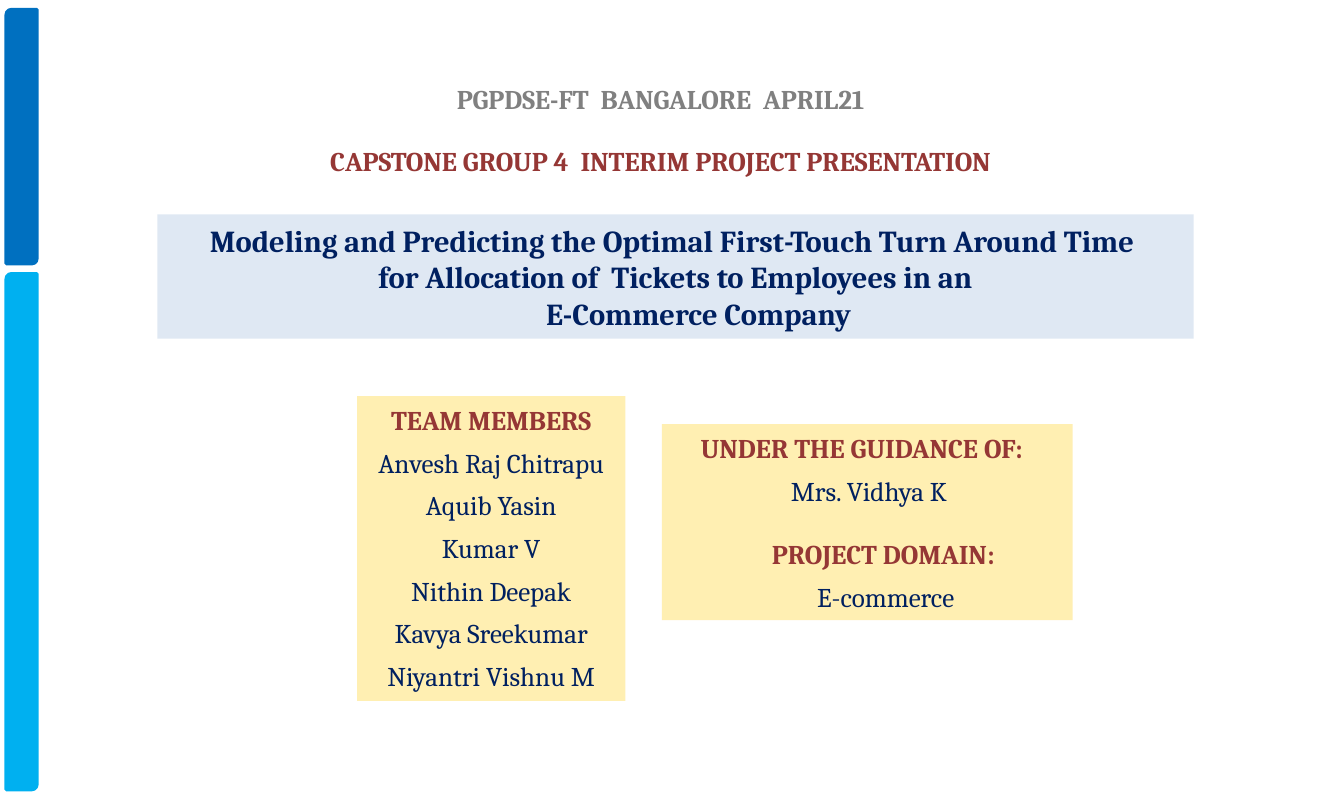
from pptx import Presentation
from pptx.dml.color import RGBColor
from pptx.enum.shapes import MSO_SHAPE
from pptx.enum.text import MSO_ANCHOR, MSO_AUTO_SIZE, PP_ALIGN
from pptx.oxml.xmlchemy import OxmlElement
from pptx.util import Cm, Pt

RECT, BAR = MSO_SHAPE.RECTANGLE, MSO_SHAPE.ROUND_2_DIAG_RECTANGLE
MIDDLE, BOTTOM, TOP = MSO_ANCHOR.MIDDLE, MSO_ANCHOR.BOTTOM, MSO_ANCHOR.TOP
FIXED, CENTER = MSO_AUTO_SIZE.NONE, PP_ALIGN.CENTER

HUES = {"blue": "0070C0", "sky": "00B0F0", "grey": "808080", "red": "953735",
        "navy": "002060", "pale": "B9CDE5", "gold": "FFCC00"}
HEAD = {"size": Pt(16), "bold": True, "name": "Cambria"}
NAME = HEAD | {"bold": False}
THEME = HEAD | {"size": Pt(18)}
WIDE = {"margin_left": Cm(0.3), "margin_right": Cm(0.3),
        "margin_top": Cm(0.15), "margin_bottom": Cm(0.15)}
SLIM = {"margin_left": Cm(0.25), "margin_right": Cm(0.25),
        "margin_top": Cm(0.13), "margin_bottom": Cm(0.13)}

TEAM = ["Anvesh Raj Chitrapu", "Aquib Yasin", "Kumar V", "Nithin Deepak",
        "Kavya Sreekumar", "Niyantri Vishnu M"]


def hue(key):
    """Return the named colour."""
    return RGBColor.from_string(HUES[key])


def assign(item, values):
    """Set each value on the item."""
    for key, value in values.items():
        setattr(item, key, value)


def block(slide, kind, box, key, alpha=None):
    """Add a filled shape, see-through if alpha is given."""
    shape = slide.shapes.add_shape(kind, *map(Cm, box))
    shape.shadow.inherit = False
    shape.fill.solid()
    shape.fill.fore_color.rgb = hue(key)
    if alpha is None:
        shape.line.color.rgb = hue(key)
        shape.line.width = Pt(2)
    else:
        shape.line.fill.background()
        node = OxmlElement("a:alpha")
        node.set("val", str(alpha * 1000))
        shape.fill._xPr.solidFill[0].append(node)
    return shape


def write(shape, rows, anchor, pads):
    """Fill a shape with centred rows of text, look, colour, gap and indents."""
    frame = shape.text_frame
    assign(frame, pads | {"word_wrap": True, "auto_size": FIXED,
                          "vertical_anchor": anchor})
    for place, (text, look, key, gap, dents) in enumerate(rows):
        para = frame.add_paragraph() if place else frame.paragraphs[0]
        para.text = text
        assign(para, {"alignment": CENTER, "space_before": Pt(gap), "line_spacing": 1.0})
        for name, size in dents.items():
            para._p.get_or_add_pPr().set(name, str(Cm(size)))
        for run in para.runs:
            assign(run.font, look)
            run.font.color.rgb = hue(key)


def side(slide, box):
    """Stack the two bars in the box."""
    left, top, width, height = box
    gap = 0.21
    first = (height - gap) * 0.33
    block(slide, BAR, (left, top, width, first), "blue")
    block(slide, BAR, (left, top + first + gap, width, height - first - gap), "sky")


def title(slide, box):
    """Place and fill the title."""
    shape = slide.shapes.title
    assign(shape, dict(zip(("left", "top", "width", "height"), map(Cm, box))))
    dent = {"marL": 0.38, "indent": 0}
    write(shape, [("PGPDSE-FT  BANGALORE  APRIL21", HEAD, "grey", 17.7, dent),
                  ("CAPSTONE GROUP 4  INTERIM PROJECT PRESENTATION",
                   HEAD, "red", 17.7, dent)], MIDDLE, SLIM)


def topic(slide, box):
    """Add the band with the project topic."""
    dent = {"marL": 0.96, "indent": -0.96}
    lines = ["Modeling and Predicting the Optimal First-Touch Turn Around Time ",
             "for Allocation of  Tickets to Employees in an\vE-Commerce Company"]
    write(block(slide, RECT, box, "pale", 45),
          [(line, THEME, "navy", 0, dent) for line in lines], BOTTOM, WIDE)


def team(slide, box):
    """Add the panel of team members."""
    rows = [("TEAM MEMBERS", HEAD, "red", 0.1, {})]
    rows += [(name, NAME, "navy", 6, {}) for name in TEAM]
    write(block(slide, RECT, box, "gold", 30), rows, TOP, WIDE)


def guide(slide, box):
    """Add the panel of mentor and domain."""
    rows = [("UNDER THE GUIDANCE OF:", HEAD, "red", 6, {"marR": 0.23}),
            ("Mrs. Vidhya K", NAME, "navy", 6, {"marL": 0.3}),
            ("PROJECT DOMAIN:", HEAD, "red", 18.5, {"marL": 0.9}),
            ("E-commerce", NAME, "navy", 6, {"marL": 1})]
    write(block(slide, RECT, box, "gold", 30), rows, MIDDLE, SLIM)


def main():
    """Build and save the slide."""
    deck = Presentation()
    deck.slide_width, deck.slide_height = Cm(28), Cm(16.51)
    slide = deck.slides.add_slide(deck.slide_layouts[5])
    side(slide, (0.13, 0.2, 0.64, 16.26))
    title(slide, (4.47, 1.57, 18.21, 2.26))
    topic(slide, (3.28, 4.47, 21.59, 2.59))
    team(slide, (7.44, 8.26, 5.59, 6.35))
    guide(slide, (13.79, 8.84, 8.56, 4.09))
    deck.save("out.pptx")


if __name__ == "__main__":
    main()
